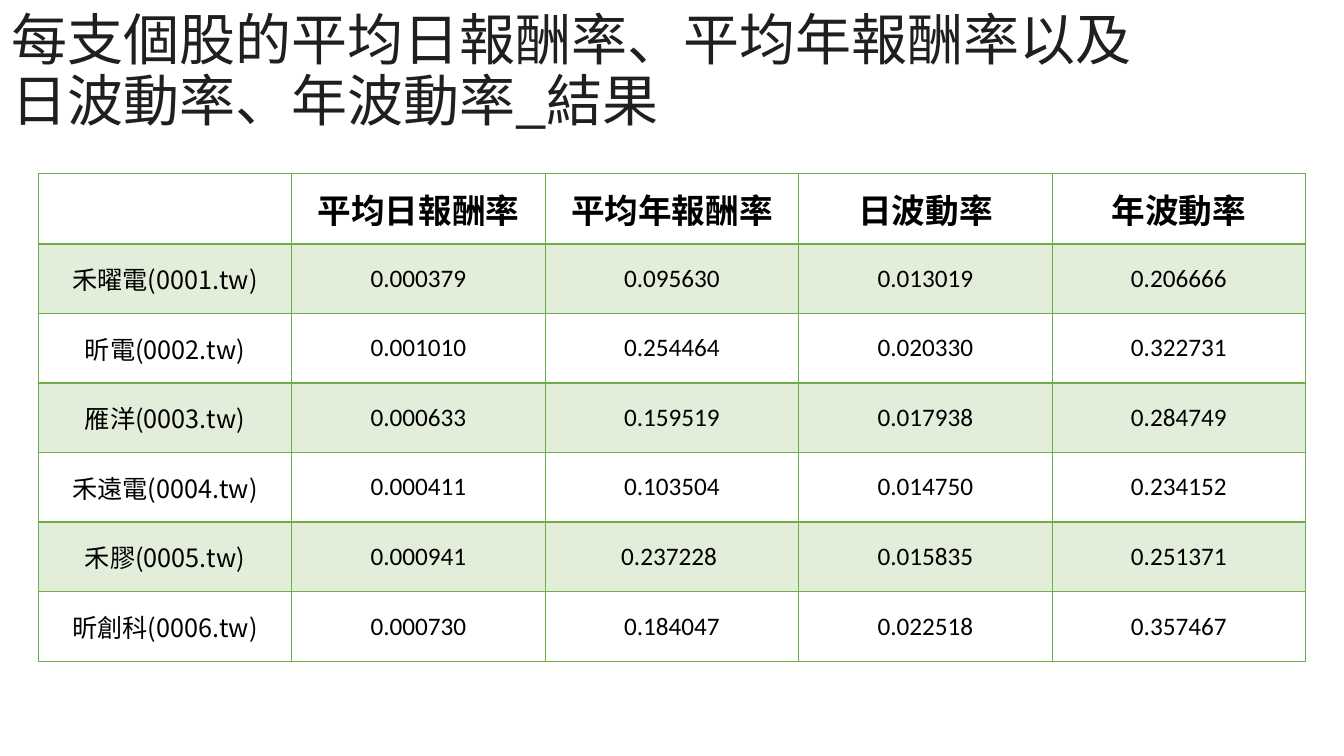
"""Build a slide with a table of stock returns and volatilities."""
import pptx
import pptx.dml.color
import pptx.enum.text
import pptx.oxml
import pptx.oxml.ns
import pptx.util
from pptx.util import Inches

COLORS = {"title": "1F1F1F", "text": "000000", "green": "70AD47"}
CJK_FONT = "Noto Sans CJK SC"
NUMBER_FONT = "Calibri"
TITLE = "每支個股的平均日報酬率、平均年報酬率以及日波動率、年波動率_結果"
HEADERS = ["", "平均日報酬率", "平均年報酬率", "日波動率", "年波動率"]
STOCKS = [
    ["禾曜電(0001.tw)", "0.000379", "0.095630", "0.013019", "0.206666"],
    ["昕電(0002.tw)", "0.001010", "0.254464", "0.020330", "0.322731"],
    ["雁洋(0003.tw)", "0.000633", "0.159519", "0.017938", "0.284749"],
    ["禾遠電(0004.tw)", "0.000411", "0.103504", "0.014750", "0.234152"],
    ["禾膠(0005.tw)", "0.000941", "0.237228 ", "0.015835", "0.251371"],
    ["昕創科(0006.tw)", "0.000730", "0.184047", "0.022518", "0.357467"],
]


def rgb(name):
    """Return the named colour."""
    return pptx.dml.color.RGBColor.from_string(COLORS[name])


def write(frame, text, size, font, color, bold=False):
    """Put one formatted paragraph in a text frame and return it."""
    frame.text = text
    paragraph = frame.paragraphs[0]
    for run in paragraph.runs:
        run.font.size = pptx.util.Pt(size)
        run.font.bold = bold
        run.font.color.rgb = rgb(color)
        run.font.name = font
        latin = run.font._element.find(pptx.oxml.ns.qn("a:latin"))
        latin.addnext(pptx.oxml.parse_xml(
            f'<a:ea {pptx.oxml.ns.nsdecls("a")} typeface="{font}"/>'))
    return paragraph


def shade(cell, banded):
    """Give a banded cell a translucent green fill, and others none."""
    if not banded:
        cell.fill.background()
        return
    cell.fill.solid()
    cell.fill.fore_color.rgb = rgb("green")
    tint = cell._tc.tcPr.find(".//" + pptx.oxml.ns.qn("a:srgbClr"))
    tint.append(pptx.oxml.parse_xml(
        f'<a:alpha {pptx.oxml.ns.nsdecls("a")} val="20000"/>'))


def outline(cell, top, bottom):
    """Draw green borders, with top and bottom widths in points."""
    widths = {"L": 1, "R": 1, "T": top, "B": bottom}
    for position, (side, width) in enumerate(widths.items()):
        cell._tc.get_or_add_tcPr().insert(position, pptx.oxml.parse_xml(
            f'<a:ln{side} {pptx.oxml.ns.nsdecls("a")} w="{pptx.util.Pt(width)}">'
            f'<a:solidFill><a:srgbClr val="{COLORS["green"]}"/></a:solidFill>'
            f'</a:ln{side}>'))


def add_title(slide):
    """Add the heading at the top of the slide."""
    heading = slide.shapes.add_textbox(
        Inches(0.02), Inches(0), Inches(11.5), Inches(1.45))
    frame = heading.text_frame
    frame.word_wrap = True
    frame.vertical_anchor = pptx.enum.text.MSO_ANCHOR.MIDDLE
    write(frame, TITLE, 40, CJK_FONT, "title").line_spacing = 0.9


def add_returns_table(slide):
    """Add the table with one row per stock."""
    rows = [HEADERS] + STOCKS
    returns = slide.shapes.add_table(
        len(rows), len(HEADERS), Inches(0.38), Inches(1.72),
        Inches(12.57), Inches(4.86)).table
    for r, values in enumerate(rows):
        returns.rows[r].height = Inches(0.69 if r else 0.7)
        for c, value in enumerate(values):
            cell = returns.cell(r, c)
            cell.vertical_anchor = pptx.enum.text.MSO_ANCHOR.MIDDLE
            font = NUMBER_FONT if r and c else CJK_FONT
            label = write(cell.text_frame, value, 18 if r else 24, font,
                          "text", bold=r == 0)
            label.alignment = pptx.enum.text.PP_ALIGN.CENTER
            shade(cell, r % 2 == 1)
            outline(cell, 2 if r == 1 else 1, 2 if r == 0 else 1)


def main():
    """Build and save the slide."""
    deck = pptx.Presentation()
    deck.slide_width, deck.slide_height = Inches(13.33), Inches(7.5)
    slide = deck.slides.add_slide(deck.slide_layouts[6])
    add_title(slide)
    add_returns_table(slide)
    deck.save("out.pptx")


if __name__ == "__main__":
    main()
